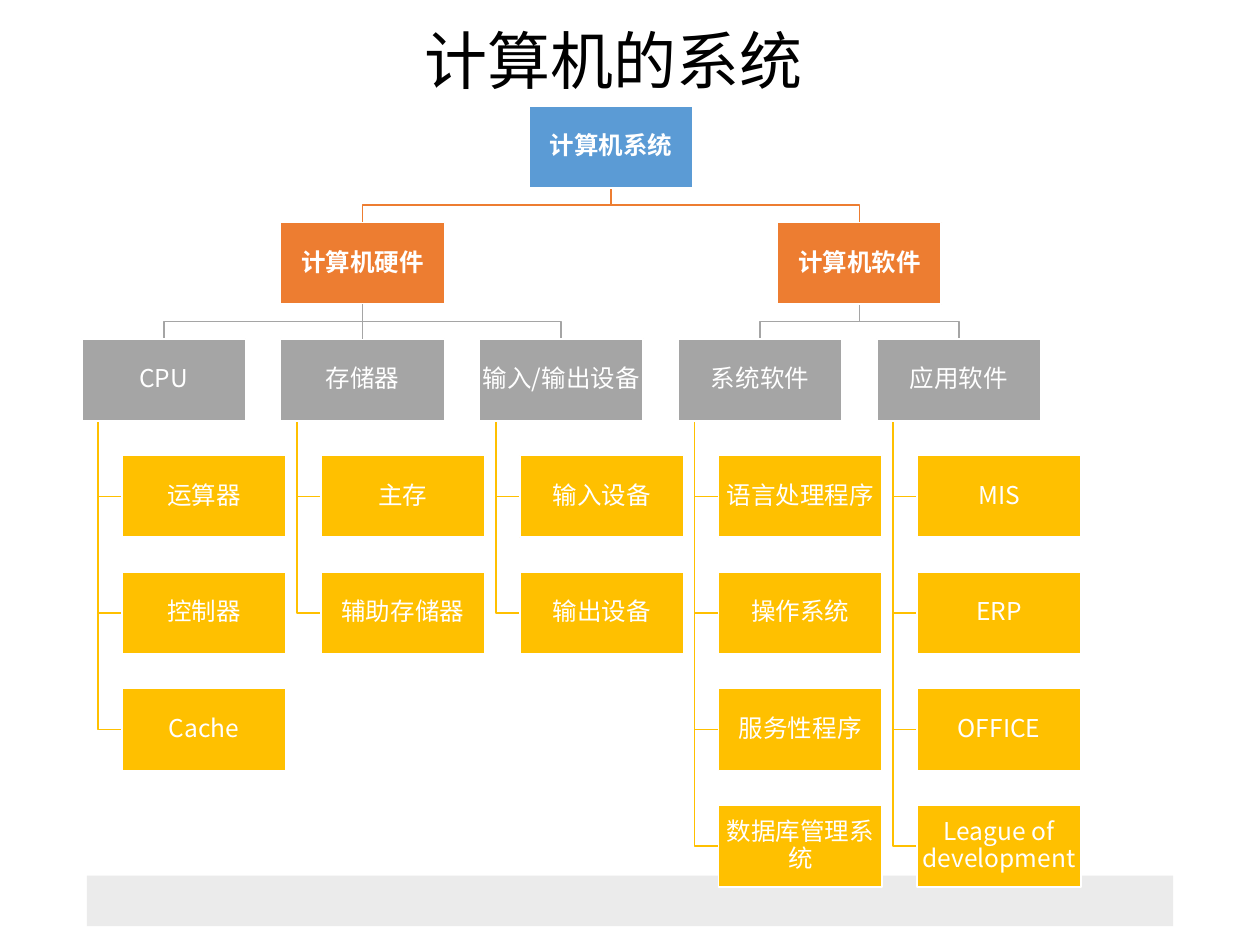
"""Build a slide with the tree of a computer system."""
from lxml import etree
from pptx import Presentation
from pptx.dml.color import RGBColor
from pptx.enum.shapes import MSO_CONNECTOR, MSO_SHAPE
from pptx.enum.text import MSO_ANCHOR, MSO_AUTO_SIZE, PP_ALIGN
from pptx.oxml.ns import qn
from pptx.util import Inches, Pt

RECT = MSO_SHAPE.RECTANGLE
LINE = MSO_CONNECTOR.STRAIGHT
MID, TOP = MSO_ANCHOR.MIDDLE, MSO_ANCHOR.TOP
LEFT, CENTER = PP_ALIGN.LEFT, PP_ALIGN.CENTER
GROW = MSO_AUTO_SIZE.SHAPE_TO_FIT_TEXT

BLACK = RGBColor(0x00, 0x00, 0x00)
WHITE = RGBColor(0xFF, 0xFF, 0xFF)
PALE = RGBColor(0xEB, 0xEB, 0xEB)
BLUE = RGBColor(0x5B, 0x9B, 0xD5)
ORANGE = RGBColor(0xED, 0x7D, 0x31)
GRAY = RGBColor(0xA5, 0xA5, 0xA5)
GOLD = RGBColor(0xFF, 0xC0, 0x00)

FONT = "Noto Sans CJK SC"
X0, Y0 = 0.65, 0.84
COL, ROW = (6.96 - X0) / 4, (6.39 - Y0) / 6
WIDE, HIGH = 1.3, 0.65
INDENT, STEM = 0.32, 0.13

ROOT = "计算机系统"
TREE = [
    ("计算机硬件", 1, [
        ("CPU", ["运算器", "控制器", "Cache"]),
        ("存储器", ["主存", "辅助存储器"]),
        ("输入/输出设备", ["输入设备", "输出设备"]),
    ]),
    ("计算机软件", 3.5, [
        ("系统软件", ["语言处理程序", "操作系统", "服务性程序", "数据库管理系统"]),
        ("应用软件", ["MIS", "ERP", "OFFICE", "League of development"]),
    ]),
]


def spot(col, row):
    """Return the left and top, in inches, of a grid cell."""
    return X0 + col * COL, Y0 + row * ROW


def write(frame, text, size, color, align, bold=False):
    """Write one run of text into a frame."""
    para = frame.paragraphs[0]
    para.alignment = align
    para.line_spacing = 0.9
    run = para.add_run()
    run.text = text
    font = run.font
    font.name, font.size, font.bold = FONT, Pt(size), bold
    font.color.rgb = color
    east = etree.SubElement(run._r.get_or_add_rPr(), qn("a:ea"))
    east.set("typeface", FONT)


def add_title(slide, text):
    """Place and fill the title."""
    title = slide.shapes.title
    title.left, title.top = Inches(3.27), Inches(0.19)
    title.width, title.height = Inches(3.2), Inches(0.64)
    frame = title.text_frame
    frame.word_wrap = False
    frame.auto_size = GROW
    frame.vertical_anchor = TOP
    frame.margin_left, frame.margin_right = Inches(0.1), 0
    write(frame, text, 36, BLACK, LEFT)


def add_rect(slide, left, top, width, height, fill):
    """Add a plain filled rectangle."""
    rect = slide.shapes.add_shape(
        RECT, Inches(left), Inches(top), Inches(width), Inches(height))
    rect.shadow.inherit = False
    rect.fill.solid()
    rect.fill.fore_color.rgb = fill
    rect.line.fill.background()
    return rect


def add_node(slide, text, col, row, fill, shift=0, bold=False):
    """Add a labelled box in a grid cell."""
    left, top = spot(col, row)
    node = add_rect(slide, left + shift, top, WIDE, HIGH, fill)
    node.line.color.rgb = WHITE
    node.line.width = Pt(1)
    frame = node.text_frame
    frame.word_wrap = True
    frame.vertical_anchor = MID
    frame.margin_left = frame.margin_right = Inches(0.01)
    frame.margin_top = frame.margin_bottom = Inches(0.01)
    write(frame, text, 14, WHITE, CENTER, bold)
    return node


def add_bend(slide, points, color):
    """Add an open bent line through points given in inches."""
    first, *rest = [(Inches(x), Inches(y)) for x, y in points]
    path = slide.shapes.build_freeform(*first)
    path.add_line_segments(rest, close=False)
    bend = path.convert_to_shape()
    bend.shadow.inherit = False
    bend.fill.background()
    bend.line.color.rgb = color
    bend.line.width = Pt(1)


def add_fork(slide, col, row, child, color):
    """Bend from a box's foot to the head of a box one row down."""
    left, top = spot(col, row)
    start, foot = left + WIDE / 2, top + HIGH
    end, head = spot(child, row + 1)
    end += WIDE / 2
    half = (foot + head) / 2
    add_bend(slide, [(start, foot), (start, half), (end, half), (end, head)], color)


def add_twig(slide, col, row):
    """Bend from a group's stem to the side of its leaf."""
    left, top = spot(col, 2)
    side = spot(col, row)[1] + HIGH / 2
    stem = left + STEM
    add_bend(slide, [(stem, top + HIGH), (stem, side), (left + INDENT, side)], GOLD)


def add_drop(slide, upper, lower):
    """Join two boxes in one column with a straight line."""
    drop = slide.shapes.add_connector(LINE, 0, 0, 0, 0)
    drop.begin_connect(upper, 2)
    drop.end_connect(lower, 0)
    drop.line.color.rgb = GRAY
    drop.line.width = Pt(1)
    etree.SubElement(drop._element.spPr, qn("a:effectLst"))


def add_links(slide, mid):
    """Draw all the bent lines of the tree."""
    col = 0
    for _, place, groups in TREE:
        add_fork(slide, mid, 0, place, ORANGE)
        for _, leaves in groups:
            if col != place:
                add_fork(slide, place, 1, col, GRAY)
            for row in range(len(leaves)):
                add_twig(slide, col, row + 3)
            col += 1


def add_nodes(slide, mid):
    """Draw all the boxes of the tree."""
    add_node(slide, ROOT, mid, 0, BLUE, bold=True)
    col = 0
    for name, place, groups in TREE:
        branch = add_node(slide, name, place, 1, ORANGE, bold=True)
        for label, leaves in groups:
            group = add_node(slide, label, col, 2, GRAY)
            if col == place:
                add_drop(slide, branch, group)
            for row, leaf in enumerate(leaves, 3):
                add_node(slide, leaf, col, row, GOLD, INDENT)
            col += 1


def main():
    """Build and save the slide."""
    deck = Presentation()
    deck.slide_width, deck.slide_height = Inches(10), Inches(7.5)
    slide = deck.slides.add_slide(deck.slide_layouts[5])
    add_rect(slide, 0.69, 6.95, 8.62, 0.4, PALE)
    add_title(slide, "计算机的系统")
    mid = sum(place for _, place, _ in TREE) / len(TREE)
    add_links(slide, mid)
    add_nodes(slide, mid)
    deck.save("out.pptx")


if __name__ == "__main__":
    main()
